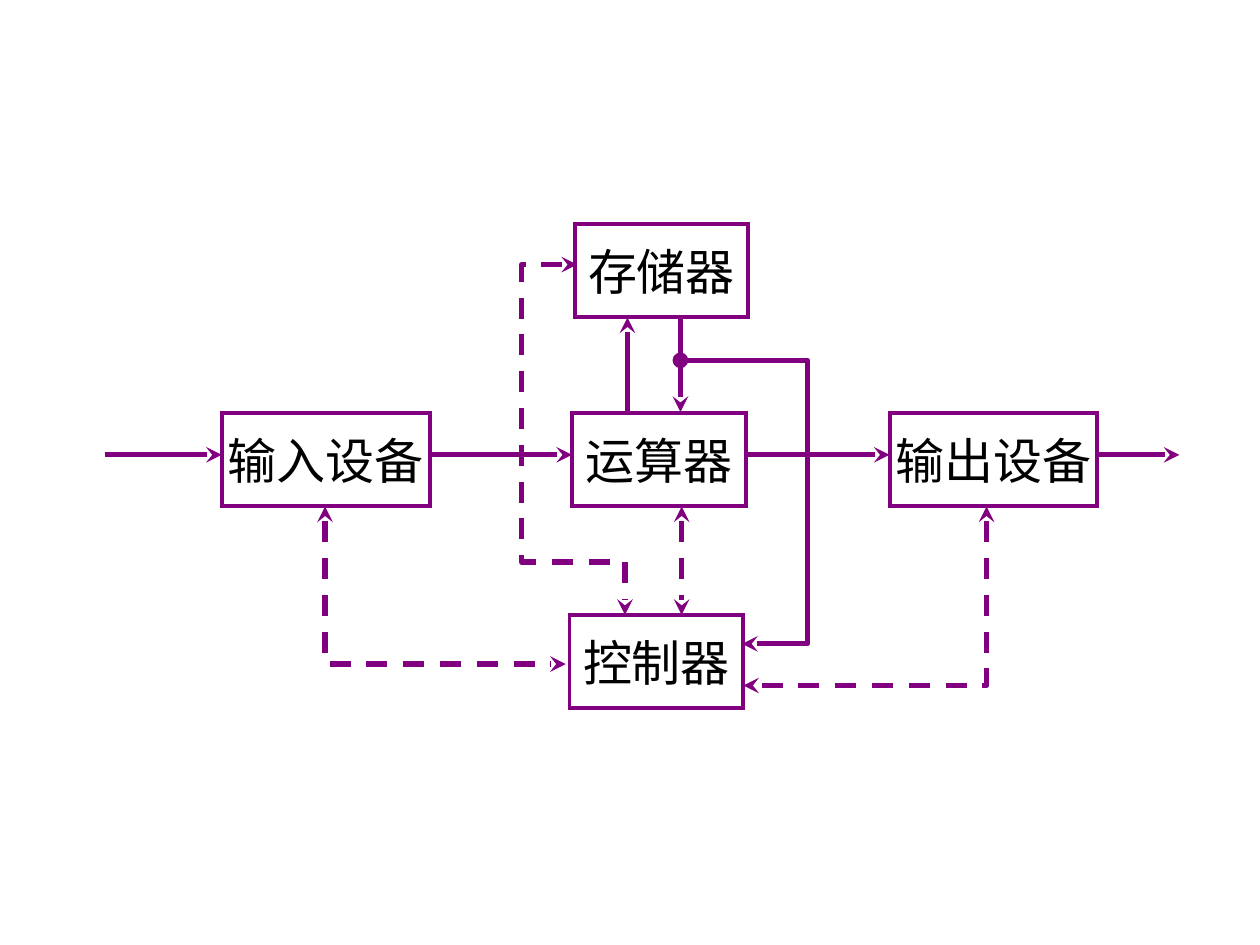
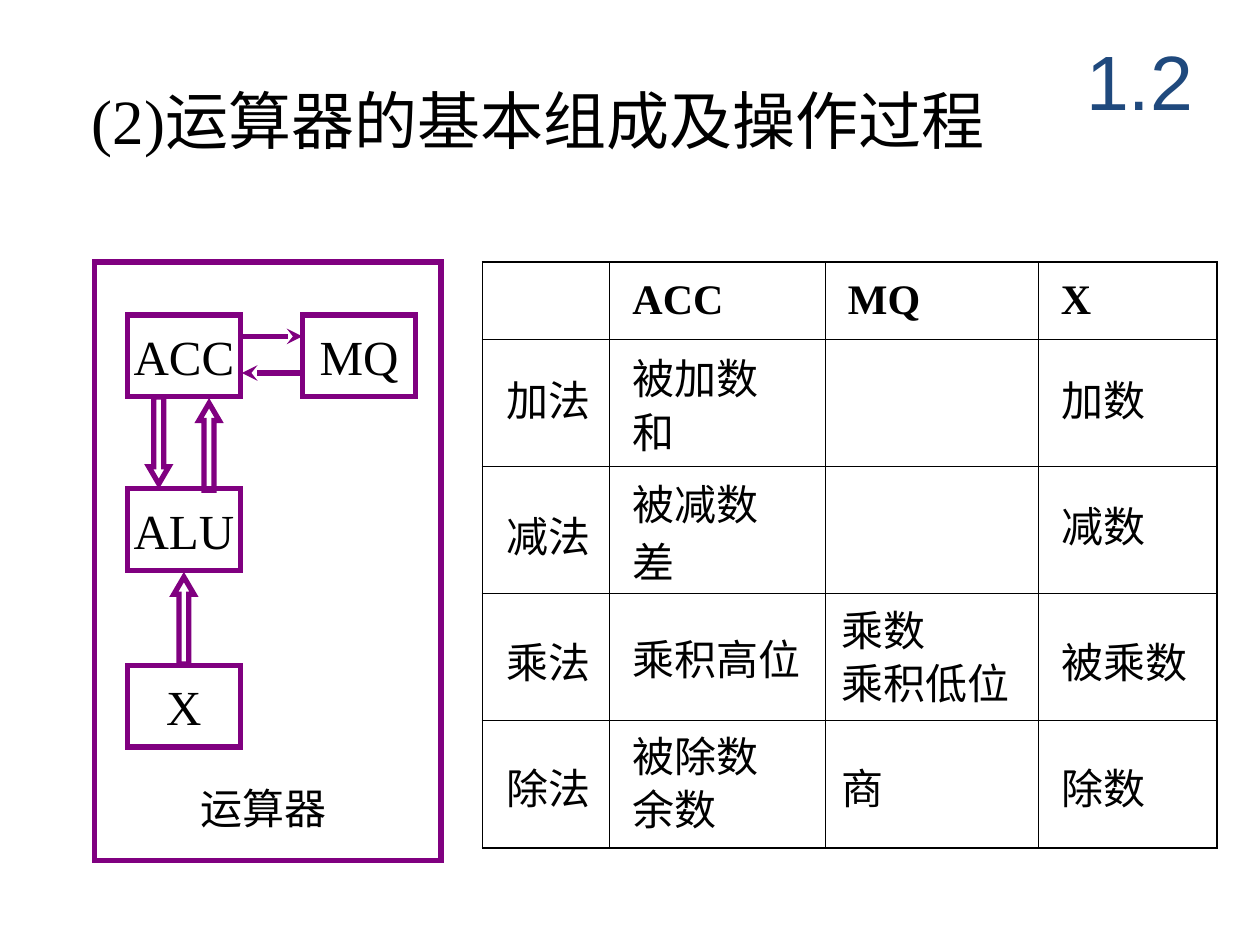
from itertools import accumulate

from lxml import etree
from pptx import Presentation
from pptx.dml.color import RGBColor
from pptx.enum import dml, shapes, text
from pptx.oxml import ns
from pptx.util import Inches, Pt

PURPLE = RGBColor(0x80, 0x00, 0x80)
BLACK = RGBColor(0x00, 0x00, 0x00)
NAVY = RGBColor(0x1F, 0x49, 0x7D)
SERIF, SANS, HEADING = "Times New Roman", "Calibri", "Arial"
LINE_WIDTH = 3
THIN_BORDER, OUTER_BORDER = 0.45, 1.08


def format_text(frame, size, font, color=BLACK, align=text.PP_ALIGN.LEFT, bold=False):
    for paragraph in frame.paragraphs:
        paragraph.alignment = align
        for run in paragraph.runs:
            run.font.size, run.font.name, run.font.bold = Pt(size), font, bold
            run.font.color.rgb = color


def add_label(slide, left, top, width, height, words, size, font, **style):
    label = slide.shapes.add_textbox(Inches(left), Inches(top), Inches(width), Inches(height))
    label.text_frame.word_wrap = True
    label.text_frame.text = words
    format_text(label.text_frame, size, font, **style)
    return label


def add_outline(slide, kind, left, top, width, height, line_width=LINE_WIDTH):
    """Unfilled purple shape with sharp corners."""
    shape = slide.shapes.add_shape(kind, Inches(left), Inches(top), Inches(width), Inches(height))
    shape.shadow.inherit = False
    shape.fill.background()
    shape.line.color.rgb = PURPLE
    shape.line.width = Pt(line_width)
    etree.SubElement(shape.line._get_or_add_ln(), ns.qn("a:miter"), lim="800000")
    return shape


def add_unit(slide, left, top, width, height, words, font, line_width=LINE_WIDTH):
    """Rectangle naming one part of the computer."""
    unit = add_outline(slide, shapes.MSO_SHAPE.RECTANGLE, left, top, width, height, line_width)
    frame = unit.text_frame
    frame.margin_left = frame.margin_right = frame.margin_top = frame.margin_bottom = 0
    frame.vertical_anchor = text.MSO_ANCHOR.MIDDLE
    frame.word_wrap = False
    frame.text = words
    format_text(frame, 28, font, align=text.PP_ALIGN.CENTER)


def add_arrow(slide, origin, points, head=None, dashed=False):
    """Arrow through points measured from origin; a bent one is a freeform."""
    corners = [(Inches(origin[0] + x), Inches(origin[1] + y)) for x, y in points]
    if len(corners) == 2:
        arrow = slide.shapes.add_connector(shapes.MSO_CONNECTOR.STRAIGHT, *corners[0], *corners[1])
        etree.SubElement(arrow._element.spPr, ns.qn("a:effectLst"))
    else:
        builder = slide.shapes.build_freeform(*corners[0], scale=1.0)
        builder.add_line_segments(corners[1:], close=False)
        arrow = builder.convert_to_shape()
        arrow.shadow.inherit = False
        arrow.fill.background()
    arrow.line.color.rgb = PURPLE
    arrow.line.width = Pt(LINE_WIDTH)
    if dashed:
        arrow.line.dash_style = dml.MSO_LINE.DASH
    line = arrow.line._get_or_add_ln()
    etree.SubElement(line, ns.qn("a:round"))
    if head:
        etree.SubElement(line, ns.qn("a:headEnd"), type=head)
    etree.SubElement(line, ns.qn("a:tailEnd"), type="stealth")


def add_computer_diagram(slide, left, top):
    origin = (left, top)
    narrow, wide, height = 1.38, 1.65, 0.74
    for x, y, width, words in [
        (3.73, 0, narrow, "存储器"),
        (0.93, 1.5, wide, "输入设备"),
        (3.71, 1.5, narrow, "运算器"),
        (3.69, 3.1, narrow, "控制器"),
        (6.23, 1.5, wide, "输出设备"),
    ]:
        add_unit(slide, left + x, top + y, width, height, words, SANS, line_width=2.25)

    control_paths = [
        [(1.75, 2.24), (1.75, 3.49), (3.66, 3.49)],
        [(3.75, 0.32), (3.31, 0.32), (3.31, 2.68), (4.13, 2.68), (4.13, 3.1)],
        [(4.58, 2.24), (4.58, 3.1)],
        [(7, 2.24), (7, 3.66), (5.07, 3.66)],
    ]
    for points in control_paths:
        add_arrow(slide, origin, points, head="stealth", dashed=True)

    add_arrow(slide, origin, [(4.15, 1.49), (4.15, 0.74)])
    add_arrow(slide, origin, [(4.57, 0.74), (4.57, 1.49)])
    add_arrow(slide, origin, [(4.57, 1.08), (5.58, 1.08), (5.58, 3.33), (5.06, 3.33)], head="oval")
    for start, end in [(0, 0.93), (2.58, 3.71), (5.08, 6.23), (7.89, 8.53)]:
        add_arrow(slide, origin, [(start, 1.83), (end, 1.83)])


def add_arithmetic_unit(slide, left, top):
    add_outline(slide, shapes.MSO_SHAPE.RECTANGLE, left, top, 2.75, 4.75)
    for x, y, words in [(0.26, 0.42, "ACC"), (1.65, 0.42, "MQ"), (0.26, 1.8, "ALU"), (0.26, 3.2, "X")]:
        add_unit(slide, left + x, top + y, 0.9, 0.65, words, SERIF)
    for x, y, rotation in [(0.43, 1.07, 180), (0.83, 1.12, 0), (0.63, 2.5, 0)]:
        block_arrow = add_outline(slide, shapes.MSO_SHAPE.UP_ARROW, left + x, top + y, 0.16, 0.69)
        block_arrow.adjustments[0], block_arrow.adjustments[1] = 0.495, 0.857
        block_arrow.rotation = rotation
    add_arrow(slide, (left, top), [(1.16, 0.59), (1.65, 0.59)])
    add_arrow(slide, (left, top), [(1.65, 0.88), (1.17, 0.88)])
    caption = add_label(slide, left + 0.84, top + 4.13, 1, 0.4, "运算器", 24, SANS)
    frame = caption.text_frame
    frame.margin_left = frame.margin_right = frame.margin_top = frame.margin_bottom = 0
    frame.word_wrap = False


def set_borders(cell, widths):
    """Black borders; widths follow the order left, right, top, bottom."""
    properties = cell._tc.get_or_add_tcPr()
    for position, (side, width) in enumerate(zip("LRTB", widths)):
        border = etree.Element(ns.qn(f"a:ln{side}"), w=str(Pt(width)))
        fill = etree.SubElement(border, ns.qn("a:solidFill"))
        etree.SubElement(fill, ns.qn("a:srgbClr"), val=str(BLACK))
        properties.insert(position, border)


def add_register_table(slide, left, top):
    """Grid of the registers used by each operation, with its labels laid over it."""
    column_widths = [1.01, 1.71, 1.69, 1.42]
    row_heights = [0.61] + [1.01] * 4
    last_row, last_column = len(row_heights) - 1, len(column_widths) - 1
    table = slide.shapes.add_table(
        len(row_heights), len(column_widths), Inches(left), Inches(top),
        Inches(sum(column_widths)), Inches(sum(row_heights))).table
    table.first_row = table.horz_banding = False
    for column, width in zip(table.columns, column_widths):
        column.width = Inches(width)
    for row, height in zip(table.rows, row_heights):
        row.height = Inches(height)
    for row in range(last_row + 1):
        for column in range(last_column + 1):
            cell = table.cell(row, column)
            cell.fill.background()
            on_edge = (column == 0, column == last_column, row == 0, row == last_row)
            set_borders(cell, [OUTER_BORDER if edge else THIN_BORDER for edge in on_edge])
    for column, words in enumerate(["ACC", "MQ", "X"], start=1):
        cell = table.cell(0, column)
        cell.vertical_anchor = text.MSO_ANCHOR.MIDDLE
        cell.margin_left = Inches(0.18)
        cell.text = words
        format_text(cell.text_frame, 24, SERIF, bold=True)

    column_lefts = list(accumulate(column_widths, initial=left))
    label_columns = [
        (0.09, 1.25, [(0.84, "加法"), (1.92, "减法"), (2.92, "乘法"), (3.92, "除法")]),
        (0.08, 2, [(0.67, "被加数"), (1.1, "和"), (1.67, "被减数"), (2.13, "差"),
                   (2.9, "乘积高位"), (3.67, "被除数"), (4.09, "余数")]),
        (0.03, 2.08, [(2.67, "乘数"), (3.09, "乘积低位"), (3.92, "商")]),
        (0.09, 1.5, [(0.84, "加数"), (1.84, "减数"), (2.92, "被乘数"), (3.92, "除数")]),
    ]
    for column_left, (indent, width, labels) in zip(column_lefts, label_columns):
        for y, words in labels:
            add_label(slide, column_left + indent, top + y, width, 0.5, words, 24, SERIF)


def add_heading(slide, title, section):
    add_label(slide, 0.63, 0.6, 7.99, 0.7, title, 36, SERIF)
    number = add_label(slide, 8.42, 0.17, 1.25, 0.92, section, 44, HEADING,
                       color=NAVY, align=text.PP_ALIGN.CENTER)
    number.text_frame.vertical_anchor = text.MSO_ANCHOR.MIDDLE


def main():
    presentation = Presentation()
    presentation.slide_width, presentation.slide_height = Inches(10), Inches(7.5)
    blank = presentation.slide_layouts[6]

    structure = presentation.slides.add_slide(blank)
    add_computer_diagram(structure, 0.83, 1.78)

    arithmetic = presentation.slides.add_slide(blank)
    add_heading(arithmetic, "(2)运算器的基本组成及操作过程", "1.2")
    add_arithmetic_unit(arithmetic, 0.75, 2.08)
    add_register_table(arithmetic, 3.83, 2.08)

    presentation.save("out.pptx")


if __name__ == "__main__":
    main()
